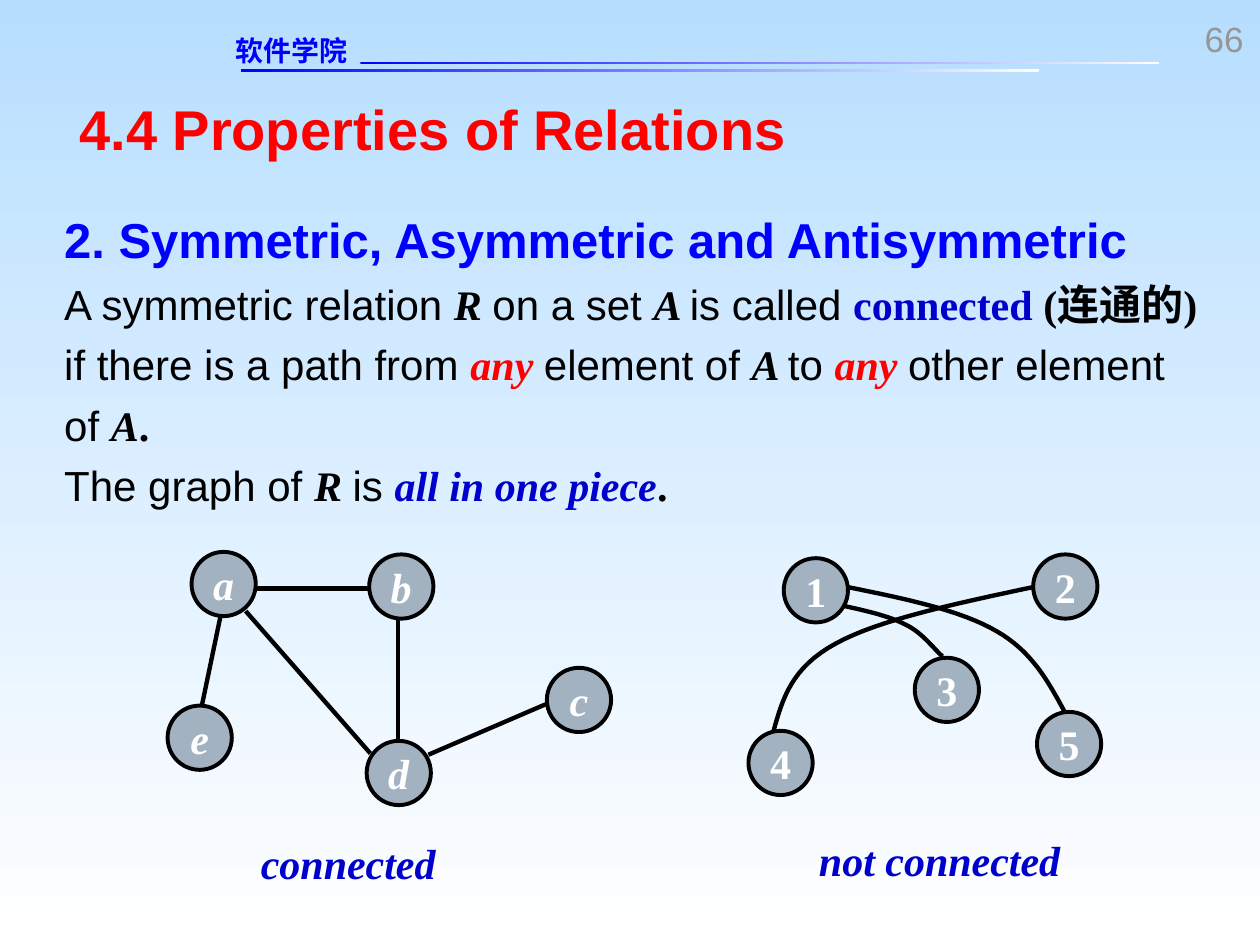
from dataclasses import dataclass

from lxml import etree
from pptx import Presentation
from pptx.dml.color import RGBColor
from pptx.enum import shapes, text
from pptx.oxml import ns
from pptx.util import Inches, Pt


@dataclass(frozen=True)
class Theme:
    sans: str = "Arial"
    serif: str = "Times New Roman"
    school: str = "DejaVu Sans"
    sky: str = "B7DEFF"
    white: str = "FFFFFF"
    black: str = "000000"
    blue: str = "0000FF"
    navy: str = "0000CC"
    red: str = "FF0000"
    gray: str = "969696"
    node: str = "A3B2C1"
    title_size: int = 32
    heading_size: int = 28
    body_size: int = 24
    number_size: int = 20
    school_size: int = 16
    outline: float = 2.25
    edge: float = 2.5


theme = Theme()


def add_run(paragraph, wording, font, size, color, bold=False, italic=False):
    run = paragraph.add_run()
    run.text = wording
    run.font.name = font
    run.font.size = Pt(size)
    run.font.bold = bold
    run.font.italic = italic
    run.font.color.rgb = RGBColor.from_string(color)


def prepare_frame(box, wrap=False):
    frame = box.text_frame
    frame.margin_left = frame.margin_right = frame.margin_top = frame.margin_bottom = 0
    frame.vertical_anchor = text.MSO_ANCHOR.TOP
    frame.word_wrap = wrap
    return frame


deck = Presentation()
deck.slide_width, deck.slide_height = Inches(10), Inches(7.5)
slide = deck.slides.add_slide(deck.slide_layouts[5])

backdrop = slide.background.fill
backdrop.gradient()
backdrop.gradient_angle = 270
for stop, color in zip(backdrop.gradient_stops, (theme.sky, theme.white)):
    stop.color.rgb = RGBColor.from_string(color)

for left, top in ((1.91, 0.55), (2.86, 0.49)):
    rule = slide.shapes.add_shape(
        shapes.MSO_SHAPE.RECTANGLE, Inches(left), Inches(top), Inches(6.34), Inches(0.02))
    rule.shadow.inherit = False
    rule.line.fill.background()
    rule.fill.gradient()
    rule.fill.gradient_angle = 0
    for stop, color in zip(rule.fill.gradient_stops, (theme.blue, theme.white)):
        stop.color.rgb = RGBColor.from_string(color)

labels = [
    (1.87, 0.27, 1.45, 0.27, "软件学院", theme.school, theme.school_size, theme.blue, True, False),
    (9.12, 0.14, 0.75, 0.33, "66", theme.sans, theme.number_size, theme.gray, False, False),
    (2.07, 6.65, 1.43, 0.4, "connected", theme.serif, theme.body_size, theme.navy, True, True),
    (6.5, 6.62, 1.97, 0.4, "not connected", theme.serif, theme.body_size, theme.navy, True, True),
]
for left, top, width, height, wording, *style in labels:
    label = slide.shapes.add_textbox(Inches(left), Inches(top), Inches(width), Inches(height))
    line = prepare_frame(label, wrap=wording in ("软件学院", "66")).paragraphs[0]
    line.alignment = text.PP_ALIGN.RIGHT if wording == "66" else text.PP_ALIGN.LEFT
    add_run(line, wording, *style)

title = slide.shapes.title
title.left, title.top, title.width, title.height = (
    Inches(0.63), Inches(0.75), Inches(8.95), Inches(0.53))
title_line = prepare_frame(title, wrap=True).paragraphs[0]
title_line.alignment = text.PP_ALIGN.LEFT
add_run(title_line, "4.4 Properties of Relations", theme.sans, theme.title_size, theme.red, True)

heading = (theme.sans, theme.heading_size, theme.blue, True)
plain = (theme.sans, theme.body_size, theme.black)
strong = (theme.serif, theme.body_size, theme.black, True)
symbol = (*strong, True)
term = (theme.serif, theme.body_size, theme.navy, True)
piece = (*term, True)
stress = (theme.serif, theme.body_size, theme.red, True, True)
definition = [
    [("2. Symmetric, Asymmetric and Antisymmetric", heading)],
    [
        ("A symmetric relation ", plain), ("R ", symbol), ("on a set ", plain),
        ("A ", symbol), ("is called ", plain), ("connected", term),
        (" (连通的) ", strong), ("if there is a path from ", plain), ("any ", stress),
        ("element of ", plain), ("A ", symbol), ("to ", plain), ("any ", stress),
        ("other element of ", plain), ("A", symbol), (".", strong),
    ],
    [
        ("The graph of ", plain), ("R ", symbol), ("is ", plain),
        ("all in one piece", piece), (".", strong),
    ],
]
body = slide.shapes.add_textbox(Inches(0.51), Inches(1.57), Inches(9.05), Inches(2.48))
body_frame = prepare_frame(body, wrap=True)
for index, runs in enumerate(definition):
    paragraph = body_frame.add_paragraph() if index else body_frame.paragraphs[0]
    paragraph.line_spacing = 1.2
    for wording, style in runs:
        add_run(paragraph, wording, *style)

connected_graph = slide.shapes.add_group_shape()
unconnected_graph = slide.shapes.add_group_shape()

vertices = [
    (connected_graph, True,
     {"a": (1.52, 4.38), "b": (2.93, 4.4), "c": (4.34, 5.3), "d": (2.91, 5.88), "e": (1.33, 5.6)}),
    (unconnected_graph, False,
     {"1": (6.22, 4.43), "2": (8.2, 4.4), "3": (7.26, 5.22), "4": (5.94, 5.8), "5": (8.23, 5.65)}),
]
for graph, italic, places in vertices:
    for name, (left, top) in places.items():
        vertex = graph.shapes.add_shape(
            shapes.MSO_SHAPE.OVAL, Inches(left), Inches(top), Inches(0.51), Inches(0.51))
        vertex.shadow.inherit = False
        vertex.fill.solid()
        vertex.fill.fore_color.rgb = RGBColor.from_string(theme.node)
        vertex.line.color.rgb = RGBColor.from_string(theme.black)
        vertex.line.width = Pt(theme.outline)
        vertex.text_frame.word_wrap = False
        vertex.text_frame.vertical_anchor = text.MSO_ANCHOR.MIDDLE
        name_line = vertex.text_frame.paragraphs[0]
        name_line.alignment = text.PP_ALIGN.CENTER
        add_run(name_line, name, theme.serif, theme.body_size, theme.white, True, italic)

straight_edges = [
    (2.02, 4.67, 2.93, 4.67),
    (1.95, 4.85, 2.94, 5.98),
    (3.16, 5.88, 3.16, 4.9),
    (1.6, 5.61, 1.75, 4.89),
    (3.4, 5.99, 4.33, 5.59),
]
for ends in straight_edges:
    edge = connected_graph.shapes.add_connector(
        shapes.MSO_CONNECTOR.STRAIGHT, *(Inches(value) for value in ends))
    edge.line.color.rgb = RGBColor.from_string(theme.black)
    edge.line.width = Pt(theme.edge)
    etree.SubElement(edge.element.spPr, ns.qn("a:effectLst"))

curved_edges = [
    [(6.73, 4.66), (7.17, 4.75), (7.62, 4.84), (7.91, 5.01), (8.19, 5.17), (8.32, 5.41), (8.45, 5.65)],
    [(6.7, 4.81), (6.88, 4.85), (7.06, 4.89), (7.19, 4.96), (7.32, 5.02), (7.42, 5.16), (7.48, 5.21)],
    [(8.2, 4.66), (7.59, 4.79), (6.97, 4.92), (6.63, 5.11), (6.28, 5.3), (6.21, 5.55), (6.14, 5.8)],
]
steps = 16
for controls in curved_edges:
    points = []
    for first in (0, 3):
        for step in range(1, steps + 1):
            t = step / steps
            weights = ((1 - t) ** 3, 3 * t * (1 - t) ** 2, 3 * t * t * (1 - t), t ** 3)
            points.append(tuple(
                Inches(sum(w * point[axis] for w, point in zip(weights, controls[first:first + 4])))
                for axis in (0, 1)))
    start_x, start_y = controls[0]
    outline = unconnected_graph.shapes.build_freeform(Inches(start_x), Inches(start_y))
    outline.add_line_segments(points, close=False)
    curve = outline.convert_to_shape()
    curve.shadow.inherit = False
    curve.fill.background()
    curve.line.color.rgb = RGBColor.from_string(theme.black)
    curve.line.width = Pt(theme.edge)

deck.save("out.pptx")
